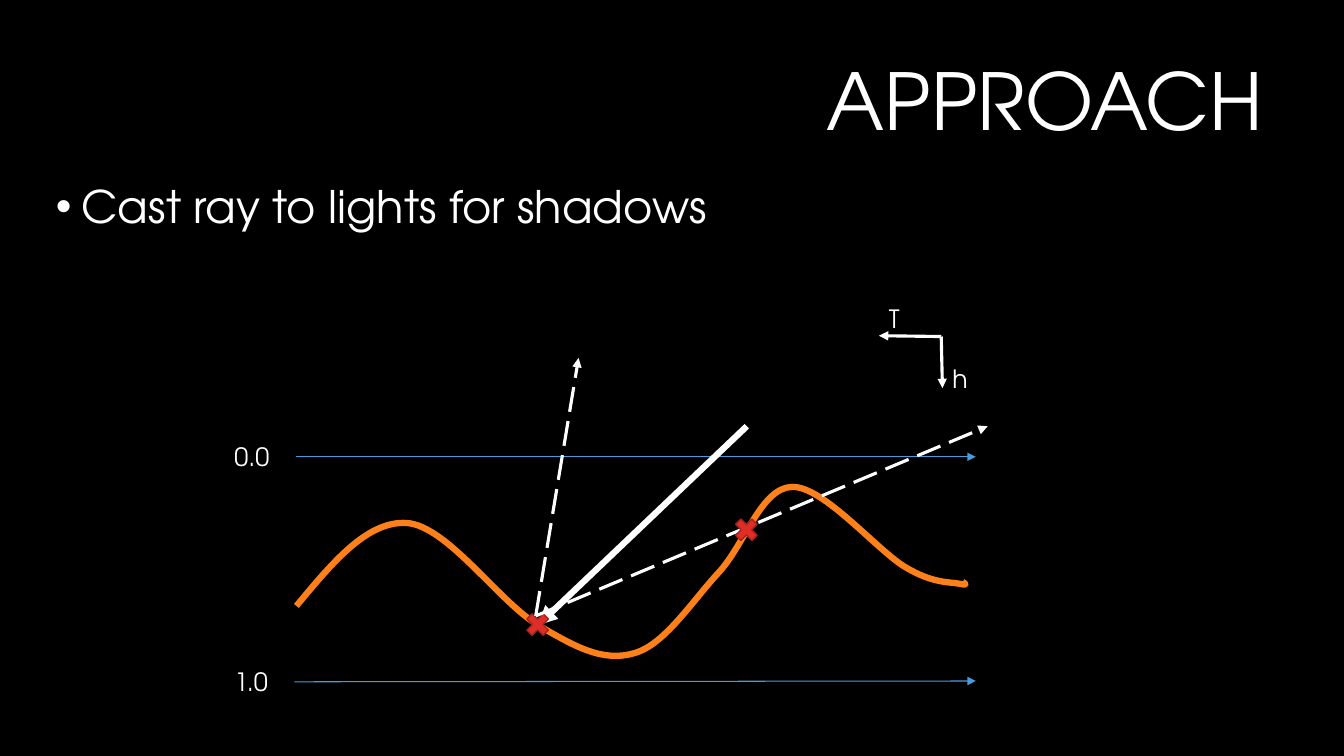
from lxml import etree
from pptx import Presentation
from pptx.dml.color import RGBColor
from pptx.enum.dml import MSO_LINE
from pptx.enum.shapes import MSO_CONNECTOR, MSO_SHAPE
from pptx.enum.text import MSO_ANCHOR, PP_ALIGN
from pptx.oxml.ns import qn
from pptx.util import Cm, Pt

STRAIGHT = MSO_CONNECTOR.STRAIGHT
CROSS = MSO_SHAPE.MATH_MULTIPLY
LONG_DASH = MSO_LINE.LONG_DASH
TOP, MIDDLE = MSO_ANCHOR.TOP, MSO_ANCHOR.MIDDLE
LEFT, RIGHT = PP_ALIGN.LEFT, PP_ALIGN.RIGHT

FONT = "TeX Gyre Adventor"
COLORS = {
    "background": "000000",
    "text": "FFFFFF",
    "ray": "FFFFFF",
    "level": "4A9BDC",
    "surface": "FE801A",
    "hit": "DF2E28",
    "hit_edge": "A5221E",
}
SURFACE_START = (1.81, 7.75)
SURFACE_CURVES = [
    ((2.7, 6.68), (3.59, 5.59), (4.6, 5.66)),
    ((5.62, 5.74), (6.94, 7.67), (7.9, 8.23)),
    ((8.84, 8.79), (9.55, 9.17), (10.32, 8.94)),
    ((11.08, 8.74), (11.79, 7.62), (12.45, 6.91)),
    ((13.11, 6.2), (13.52, 4.77), (14.3, 4.75)),
    ((15.09, 4.72), (16.46, 6.37), (17.17, 6.78)),
    ((17.86, 7.19), (18.27, 7.14), (18.52, 7.19)),
    ((18.75, 7.24), (18.67, 7.19), (18.6, 7.14)),
]


def color(name):
    return RGBColor.from_string(COLORS[name])


def add_text(s, text, box, size=18, align=LEFT, anchor=TOP, wrap=False,
             bullet=False, spacing=None):
    tb = s.shapes.add_textbox(*[Cm(v) for v in box])
    tf = tb.text_frame
    tf.word_wrap = wrap
    tf.vertical_anchor = anchor
    p = tf.paragraphs[0]
    p.alignment = align
    p.line_spacing = spacing
    if bullet:
        pPr = p._p.get_or_add_pPr()
        pPr.set("marL", str(Cm(0.64)))
        pPr.set("indent", str(-Cm(0.64)))
        etree.SubElement(pPr, qn("a:buFont")).set("typeface", "Arial")
        etree.SubElement(pPr, qn("a:buChar")).set("char", "•")
    r = p.add_run()
    r.text = text
    r.font.name = FONT
    r.font.size = Pt(size)
    r.font.color.rgb = color("text")


def add_arrow(s, box, start, end, name="ray", width=2.25, dash=None):
    x, y = box[:2]
    c = s.shapes.add_connector(STRAIGHT, Cm(x + start[0]), Cm(y + start[1]),
                               Cm(x + end[0]), Cm(y + end[1]))
    c.line.color.rgb = color(name)
    c.line.width = Pt(width)
    if dash:
        c.line.dash_style = dash
    ln = c.line._get_or_add_ln()
    etree.SubElement(ln, qn("a:tailEnd")).set("type", "triangle")
    etree.SubElement(c._element.spPr, qn("a:effectLst"))


def add_hit(s, box, center, size=0.79):
    sp = s.shapes.add_shape(CROSS, Cm(box[0] + center[0] - size / 2),
                            Cm(box[1] + center[1] - size / 2), Cm(size), Cm(size))
    sp.shadow.inherit = False
    sp.fill.solid()
    sp.fill.fore_color.rgb = color("hit")
    sp.line.color.rgb = color("hit_edge")
    sp.line.width = Pt(1)


def bend_segments(sp):
    outline = next(sp._element.iter(qn("a:path")))
    segments = outline.findall(qn("a:lnTo"))
    for i in range(0, len(segments), 3):
        curve = etree.SubElement(outline, qn("a:cubicBezTo"))
        for segment in segments[i:i + 3]:
            curve.append(segment[0])
            outline.remove(segment)


def add_surface(s, box):
    x, y = box[:2]
    points = [(Cm(x + px), Cm(y + py)) for curve in SURFACE_CURVES for px, py in curve]
    fb = s.shapes.build_freeform(Cm(x + SURFACE_START[0]), Cm(y + SURFACE_START[1]))
    fb.add_line_segments(points, close=False)
    sp = fb.convert_to_shape()
    bend_segments(sp)
    sp.shadow.inherit = False
    sp.fill.background()
    sp.line.color.rgb = color("surface")
    sp.line.width = Pt(4.5)


def add_levels(s, box):
    for label, left, y, end_y in (("0.0", 1.81, 3.99, 3.99), ("1.0", 1.76, 9.66, 9.64)):
        add_arrow(s, box, (left, y), (18.93, end_y), "level", 0.75)
        add_text(s, label, (box[0], box[1] + y - 0.52, 1.4, 1.02))


def add_axes(s, box):
    corner = (18.06, 0.96)
    axes = (
        ("T", (16.49, 0.94), (16.49, 0), 0.79),
        ("h", (18.09, 2.26), (18.09, 1.5), 0.91),
    )
    for label, end, (x, y), width in axes:
        add_arrow(s, box, corner, end)
        add_text(s, label, (box[0] + x, box[1] + y, width, 1.02))


def add_rays(s, box):
    add_arrow(s, box, (13.16, 3.22), (7.9, 8.23), width=4.5)
    add_hit(s, box, (7.89, 8.22))
    for light in ((8.92, 1.5), (19.23, 3.22)):
        add_arrow(s, box, (7.84, 8), light, dash=LONG_DASH)
    add_hit(s, box, (13.15, 5.83))


def add_diagram(s, box):
    add_levels(s, box)
    add_surface(s, box)
    add_axes(s, box)
    add_rays(s, box)


def main():
    prs = Presentation()
    prs.slide_width, prs.slide_height = Cm(33.87), Cm(19.05)
    s = prs.slides.add_slide(prs.slide_layouts[6])
    s.background.fill.solid()
    s.background.fill.fore_color.rgb = color("background")
    add_text(s, "APPROACH", (8.15, 0.86, 23.93, 3.58), size=56, align=RIGHT,
             anchor=MIDDLE, wrap=True, spacing=0.9)
    add_text(s, "Cast ray to lights for shadows", (1.16, 4.53, 30.05, 11.18),
             size=32, wrap=True, bullet=True, spacing=0.9)
    add_diagram(s, (5.66, 7.52))
    prs.save("out.pptx")


if __name__ == "__main__":
    main()
